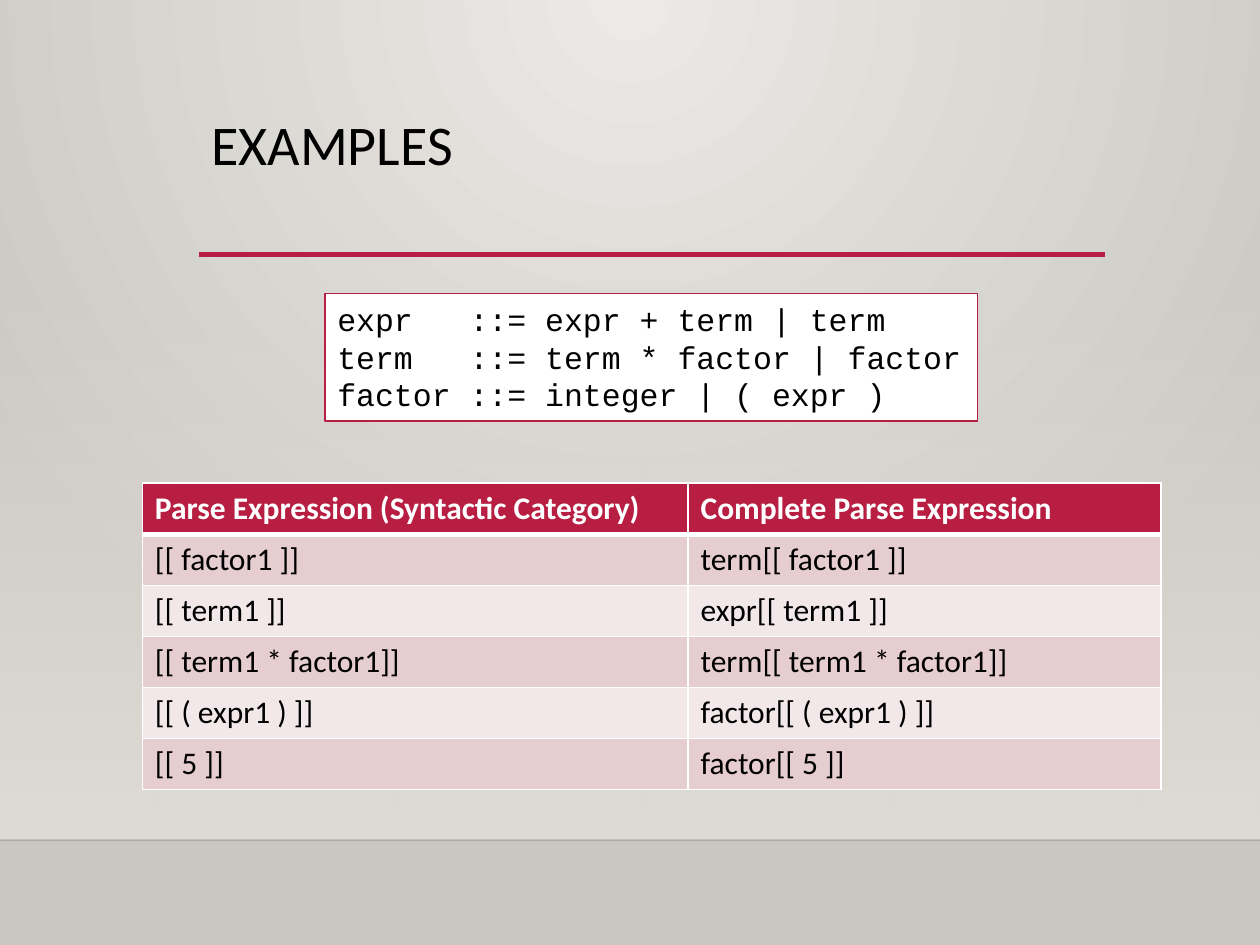
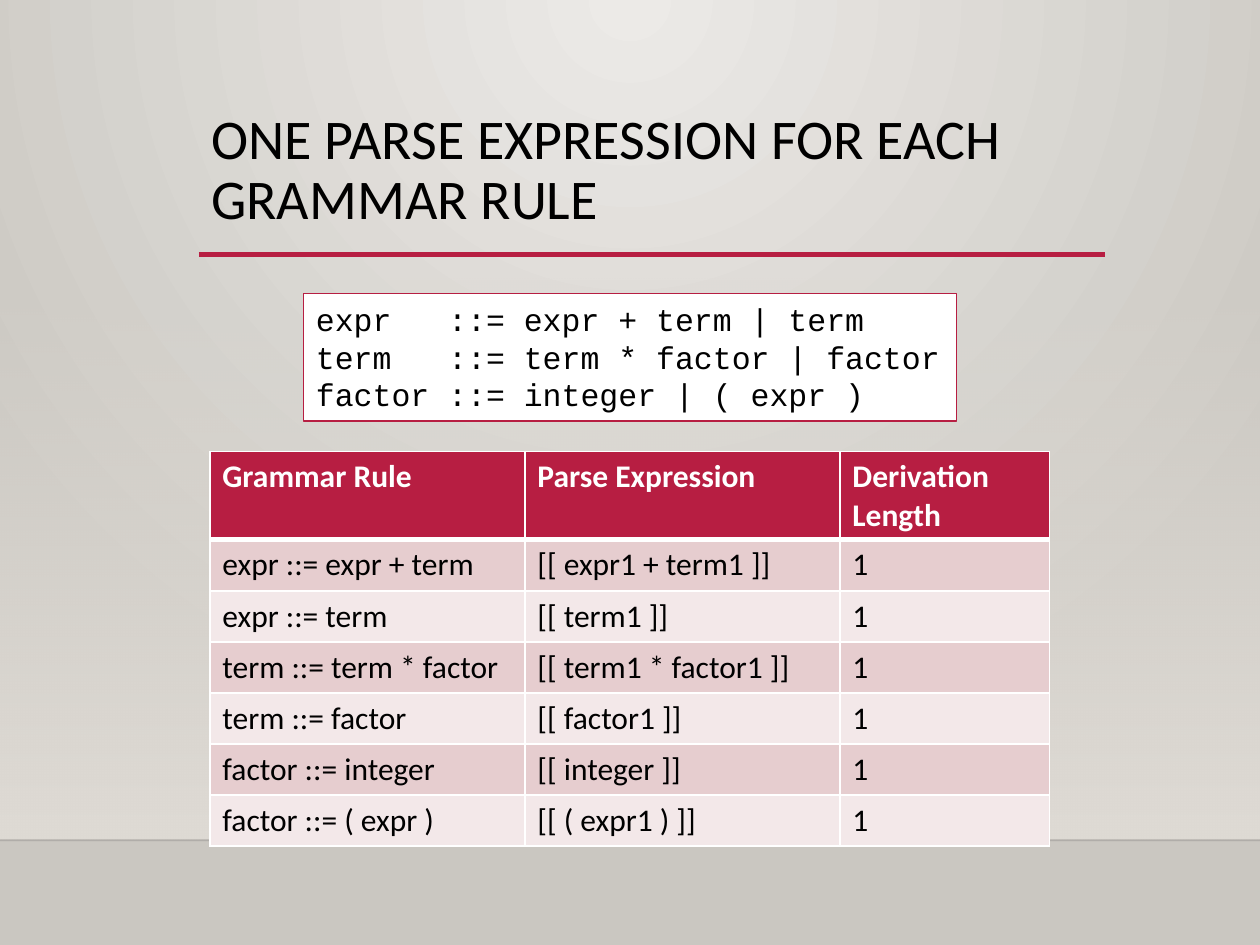
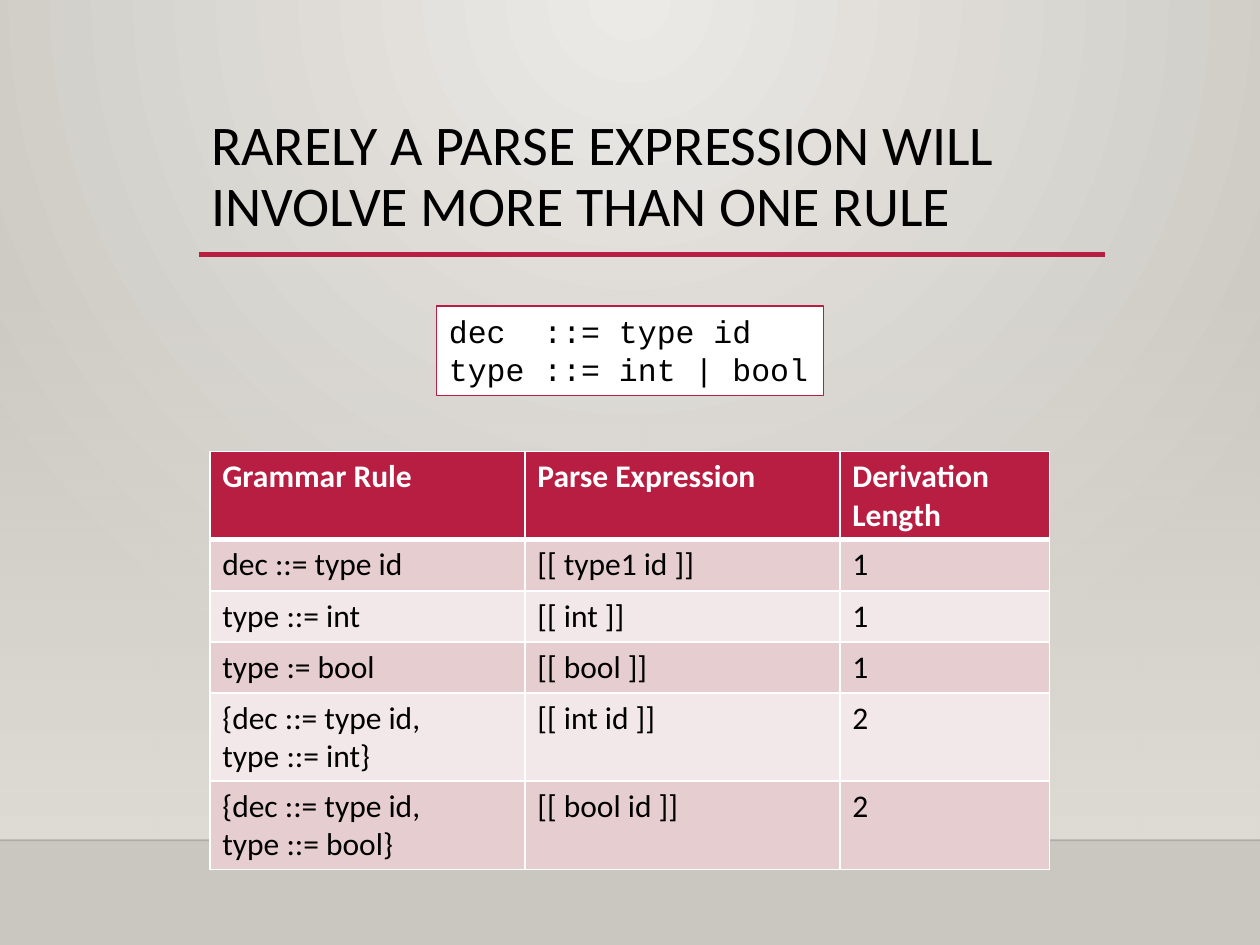
from lxml.etree import SubElement
from pptx import Presentation
from pptx.dml.color import RGBColor
from pptx.enum.shapes import MSO_CONNECTOR, MSO_SHAPE
from pptx.enum.text import MSO_ANCHOR, MSO_AUTO_SIZE, PP_ALIGN
from pptx.oxml.ns import qn
from pptx.util import Cm, Pt


def hue(code):
    return RGBColor.from_string(code)


def write(frame, text, font="Calibri", size=18, color="000000", bold=False, space=1.0):
    frame.text = text
    frame.vertical_anchor = MSO_ANCHOR.TOP
    for para in frame.paragraphs:
        para.alignment = PP_ALIGN.LEFT
        para.line_spacing = space
        para.font.name = font
        para.font.size = Pt(size)
        para.font.bold = bold
        para.font.color.rgb = hue(color)


RED, WHITE, SAND = "B71E42", "FFFFFF", "DFDBD5"
BANDS = ["F3E8E9", "E6CDCF"]
WIDE, TALL = 25.4, 19.05
ROW = 1.03

rules = """expr   ::= expr + term | term
term   ::= term * factor | factor
factor ::= integer | ( expr )"""
types = """dec  ::= type id
type ::= int | bool"""
heads = ["Grammar Rule", "Parse Expression", "Derivation Length"]
thirds = [6.35, 6.35, 4.23]

pages = [
    {
        "title": "EXAMPLES", "top": 2.24,
        "code": rules, "box": (6.55, 5.92, 13.16, 2.57),
        "spot": (2.87, 9.74), "cols": [11, 9.53],
        "rows": [
            ["Parse Expression (Syntactic Category)", "Complete Parse Expression"],
            ["[[ factor1 ]]", "term[[ factor1 ]]"],
            ["[[ term1 ]]", "expr[[ term1 ]]"],
            ["[[ term1 * factor1]]", "term[[ term1 * factor1]]"],
            ["[[ ( expr1 ) ]]", "factor[[ ( expr1 ) ]]"],
            ["[[ 5 ]]", "factor[[ 5 ]]"],
        ],
    },
    {
        "title": "ONE PARSE EXPRESSION FOR EACH GRAMMAR RULE", "top": 2.11,
        "code": rules, "box": (6.12, 5.92, 13.16, 2.57),
        "spot": (4.23, 9.1), "cols": thirds,
        "rows": [
            heads,
            ["expr ::= expr + term", "[[ expr1 + term1 ]]", "1"],
            ["expr ::= term", "[[ term1 ]]", "1"],
            ["term ::= term * factor", "[[ term1 * factor1 ]]", "1"],
            ["term ::= factor", "[[ factor1 ]]", "1"],
            ["factor ::= integer", "[[ integer ]]", "1"],
            ["factor ::= ( expr )", "[[ ( expr1 ) ]]", "1"],
        ],
    },
    {
        "title": "RARELY A PARSE EXPRESSION WILL INVOLVE MORE THAN ONE RULE", "top": 2.24,
        "code": types, "box": (8.8, 6.17, 7.8, 1.8),
        "spot": (4.23, 9.1), "cols": thirds,
        "rows": [
            heads,
            ["dec ::= type id", "[[ type1 id ]]", "1"],
            ["type ::= int", "[[ int ]]", "1"],
            ["type := bool", "[[ bool ]]", "1"],
            ["{dec ::= type id, type ::= int}", "[[ int id ]]", "2"],
            ["{dec ::= type id, type ::= bool}", "[[ bool id ]]", "2"],
        ],
    },
]

deck = Presentation()
deck.slide_width, deck.slide_height = Cm(WIDE), Cm(TALL)

for page in pages:
    slide = deck.slides.add_slide(deck.slide_layouts[6])
    shapes = slide.shapes

    back = slide.background.fill
    back.gradient()
    for stop, code, place in zip(back.gradient_stops, ["ECEAE7", "CAC7C1"], [0, 1]):
        stop.color.rgb = hue(code)
        stop.position = place
    grad = slide.background._cSld.find(".//" + qn("a:gradFill"))
    grad.remove(grad.find(qn("a:lin")))
    glow = SubElement(grad, qn("a:path"), path="circle")
    SubElement(glow, qn("a:fillToRect"), l="43000", t="0", r="43000", b="100000")

    veil = shapes.add_shape(MSO_SHAPE.RECTANGLE, 0, Cm(5.6), Cm(WIDE), Cm(11.34))
    veil.shadow.inherit = False
    veil.line.fill.background()
    veil.fill.gradient()
    veil.fill.gradient_angle = 270
    for stop, place in zip(veil.fill.gradient_stops, [0, 1]):
        stop.color.rgb = hue(SAND)
        stop.position = place
    clear = veil._element.spPr.find(".//" + qn("a:srgbClr"))
    SubElement(clear, qn("a:alpha"), val="0")

    for left, right, level, code, width, alpha in [
        (0, WIDE, 16.94, "000001", 1, 20),
        (4.01, 22.28, 5.13, RED, 2.5, 100),
    ]:
        line = shapes.add_connector(
            MSO_CONNECTOR.STRAIGHT, Cm(left), Cm(level), Cm(right), Cm(level))
        line.line.width = Pt(width)
        line.line.color.rgb = hue(code)
        tint = line._element.spPr.find(".//" + qn("a:srgbClr"))
        SubElement(tint, qn("a:alpha"), val=str(alpha * 1000))
        SubElement(line._element.spPr, qn("a:effectLst"))

    title = shapes.add_textbox(Cm(4.01), Cm(page["top"]), Cm(18.27), Cm(2.92))
    title.text_frame.word_wrap = True
    write(title.text_frame, page["title"], size=32, space=0.9)

    box = shapes.add_shape(MSO_SHAPE.RECTANGLE, *map(Cm, page["box"]))
    box.shadow.inherit = False
    box.fill.solid()
    box.fill.fore_color.rgb = hue(WHITE)
    box.line.color.rgb = hue(RED)
    box.line.width = Pt(0.75)
    box.text_frame.word_wrap = False
    box.text_frame.auto_size = MSO_AUTO_SIZE.SHAPE_TO_FIT_TEXT
    write(box.text_frame, page["code"], font="Courier New")

    rows, cols = page["rows"], page["cols"]
    left, top = page["spot"]
    table = shapes.add_table(
        len(rows), len(cols), Cm(left), Cm(top), Cm(sum(cols)), Cm(ROW * len(rows))).table
    for col, width in zip(table.columns, cols):
        col.width = Cm(width)
    for r, row in enumerate(rows):
        table.rows[r].height = Cm(ROW)
        head = r == 0
        for c, text in enumerate(row):
            cell = table.cell(r, c)
            write(cell.text_frame, text, color=WHITE if head else "000000", bold=head)
            props = cell._tc.get_or_add_tcPr()
            for side in "LRTB":
                thick = (r, side) in [(0, "B"), (1, "T")]
                edge = SubElement(props, qn("a:ln" + side), w=str(Pt(3 if thick else 1)))
                paint = SubElement(edge, qn("a:solidFill"))
                SubElement(paint, qn("a:srgbClr"), val=WHITE)
            cell.fill.solid()
            cell.fill.fore_color.rgb = hue(RED if head else BANDS[r % 2])

deck.save("out.pptx")
